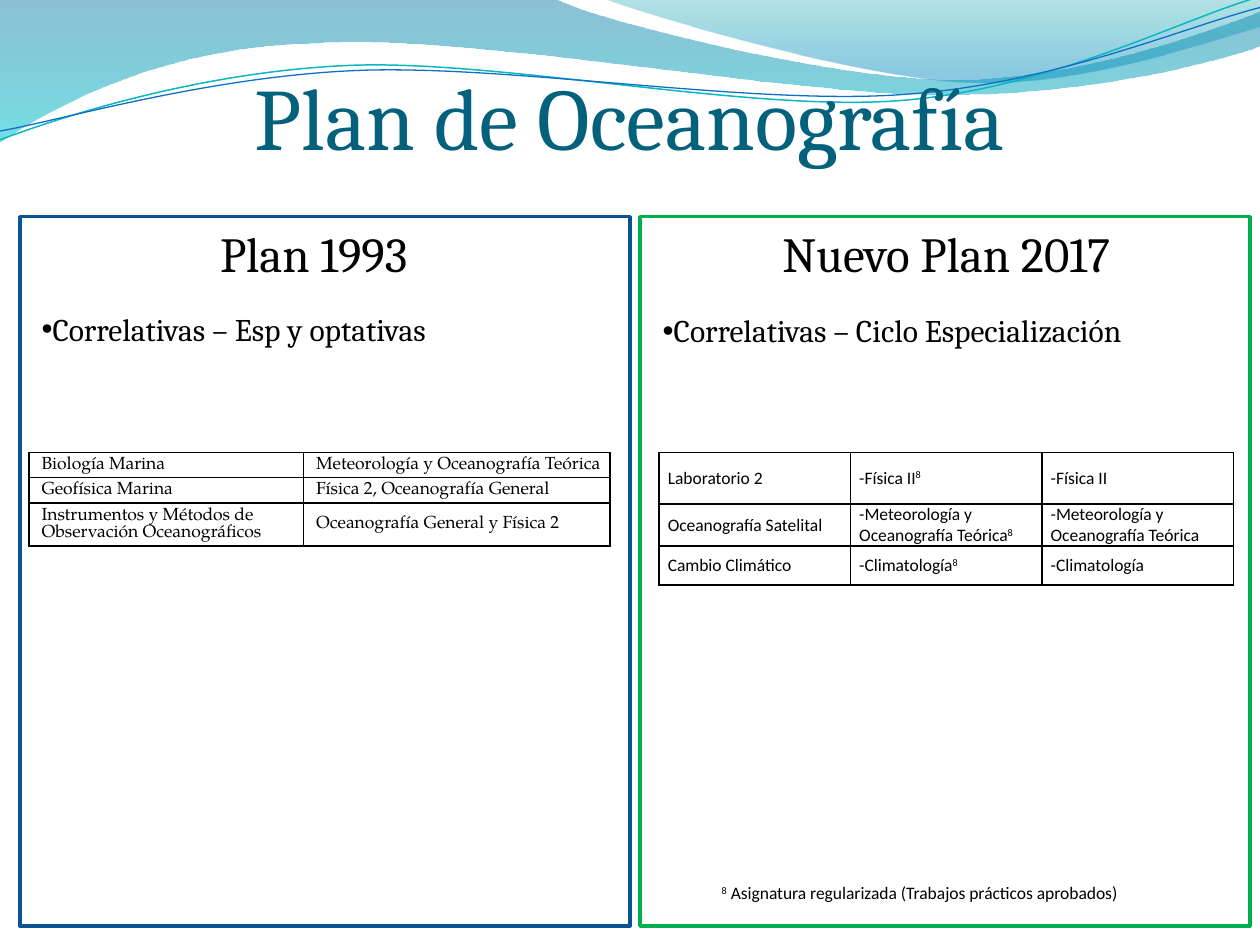
from math import cos, radians, sin

from lxml.etree import SubElement
from pptx import Presentation
from pptx.dml.color import RGBColor
from pptx.enum.shapes import MSO_SHAPE
from pptx.enum.text import MSO_ANCHOR, MSO_AUTO_SIZE as FIT, PP_ALIGN
from pptx.oxml.ns import qn
from pptx.util import Inches, Pt

COLORS = {"text": "000000", "title": "04617B", "old": "0B5292", "new": "00B050",
          "teal": "0AB8BF", "blue": "0F6FC6"}
rgb = RGBColor.from_string

deck = Presentation()
deck.slide_width, deck.slide_height = Inches(10), Inches(7.5)
page = deck.slides.add_slide(deck.slide_layouts[4])
shapes = page.shapes


def write(para, text, size, font, color="text", raised=False):
    span = para.add_run()
    span.text = text
    span.font.size, span.font.name = Pt(size), font
    span.font.bold = False
    span.font.color.rgb = rgb(COLORS[color])
    if raised:
        span.font._element.set("baseline", "30000")


def place(box, left, top, width, height, anchor=MSO_ANCHOR.TOP, fit=FIT.NONE):
    box.left, box.top = Inches(left), Inches(top)
    box.width, box.height = Inches(width), Inches(height)
    frame = box.text_frame
    frame.word_wrap, frame.auto_size = True, fit
    frame.vertical_anchor = anchor
    return frame.paragraphs[0]


# Waves: start point, then cubic curves (6 numbers) or straight lines (2 numbers)
waves = [
    {"start": (0, 0),
     "steps": [(4.4, -0.01), (4.76, 0.17, 6.64, 0.63, 7.58, 0.63),
               (8.53, 0.63, 9.58, 0.26, 10, 0.09), (10.01, 0.36),
               (9.83, 0.44, 8.7, 0.76, 7.46, 0.75), (6.22, 0.75, 3.82, 0.28, 2.57, 0.34),
               (1.29, 0.36, 0.46, 0.83, -0.01, 1.13)],
     "stops": [(0, "0074A1", 45), (1, "00C6CF", 55)]},
    {"start": (4.79, -0.01),
     "steps": [(5.09, 0.11, 6.82, 0.62, 7.69, 0.65), (8.56, 0.69, 9.61, 0.32, 10, 0.21),
               (10, 0)],
     "stops": [(0, "00A1A9", 30), (0.8, "008BBF", 45)]},
    {"start": (0, 1.11),
     "steps": [(0.48, 0.93, 1.58, 0.57, 2.77, 0.52), (3.95, 0.47, 5.93, 0.89, 7.13, 0.8),
               (8.33, 0.71, 9.38, 0.15, 9.98, -0.02)],
     "line": ("teal", 0.85)},
    {"start": (0, 1.04),
     "steps": [(0.47, 0.96, 1.64, 0.61, 2.83, 0.56), (4.03, 0.51, 5.97, 0.84, 7.17, 0.75),
               (8.36, 0.67, 9.41, 0.21, 10, 0.06)],
     "line": ("blue", 0.75)},
]
for depth, wave in enumerate(waves):
    steps = wave["steps"]
    points = [wave["start"]]
    for step in steps:
        points += zip(step[::2], step[1::2])
    points = [(Inches(x), Inches(y)) for x, y in points]
    builder = shapes.build_freeform(*points[0])
    builder.add_line_segments(points[1:], close="stops" in wave)
    curve = builder.convert_to_shape()
    # Join each three points of a curve into one cubic segment
    lines = iter(list(curve.element.iter(qn("a:lnTo"))))
    for step in steps:
        first = next(lines)
        if len(step) == 6:
            first.tag = qn("a:cubicBezTo")
            for line in (next(lines), next(lines)):
                first.append(line[0])
                line.getparent().remove(line)
    curve.shadow.inherit = False
    if "stops" in wave:
        curve.line.fill.background()
        curve.fill.gradient()
        curve.fill.gradient_angle = 270
        for stop, (position, color, alpha) in zip(curve.fill.gradient_stops, wave["stops"]):
            stop.position, stop.color.rgb = position, rgb(color)
            tint = stop._gs.find(qn("a:srgbClr"))
            SubElement(tint, qn("a:alpha")).set("val", str(alpha * 1000))
    else:
        color, width = wave["line"]
        curve.fill.background()
        curve.line.color.rgb, curve.line.width = rgb(COLORS[color]), Pt(width)
    curve.element.getparent().insert(2 + depth, curve.element)  # behind the text

# Title
title = place(shapes.title, 0, 0, 10, 1.33, MSO_ANCHOR.BOTTOM)
title_frame = shapes.title.text_frame
title_frame.margin_left = title_frame.margin_right = title_frame.margin_bottom = 0
title.alignment = PP_ALIGN.CENTER
write(title, "Plan de Oceanografía", 50, "Cambria", "title")

# Two panels: frame, heading and bullet
holders = {holder.placeholder_format.idx: holder for holder in page.placeholders}
panels = [("Plan 1993", "Correlativas – Esp y optativas", "old", 0.16, 0, 0.62, 0.23, 2.41),
          ("Nuevo Plan 2017", "Correlativas – Ciclo Especialización", "new",
           5.08, 5.02, 1.25, 5.16, 2.42)]
for number, panel in enumerate(panels):
    heading, topic, color, left, head_left, head_height, topic_left, topic_top = panel
    frame = shapes.add_shape(MSO_SHAPE.RECTANGLE, Inches(left), Inches(1.72),
                             Inches(4.84), Inches(5.63))
    frame.shadow.inherit = False
    frame.fill.background()
    frame.line.color.rgb, frame.line.width = rgb(COLORS[color]), Pt(2)

    para = place(holders[1 + 2 * number], head_left, 1.72, 4.98, head_height)
    para.alignment = PP_ALIGN.CENTER
    para.space_before = Pt(5)
    write(para, heading, 28, "Cambria")

    para = place(holders[2 + 2 * number], topic_left, topic_top, 4.77, 0.4,
                 fit=FIT.SHAPE_TO_FIT_TEXT)
    para.space_before = para.space_after = Pt(6)
    props = para._p.get_or_add_pPr()
    props.set("marL", "0")
    props.set("indent", "0")
    SubElement(props, qn("a:buChar")).set("char", "•")
    write(para, topic, 18, "Cambria")

# Tables; "^" marks a raised note number
tables = [
    {"left": 5.23, "cols": [1.52] * 3, "rows": [0.41, 0.33, 0.31], "font": "Calibri",
     "insets": (0.07, 0, 0.07, 0),
     "cells": [["Laboratorio 2", "-Física II^8", "-Física II"],
               ["Oceanografía Satelital", "-Meteorología y Oceanografía Teórica^8",
                "-Meteorología y Oceanografía Teórica"],
               ["Cambio Climático", "-Climatología^8", "-Climatología"]]},
    {"left": 0.23, "cols": [2.18, 2.43], "rows": [0.2, 0.2, 0.34], "font": "TeX Gyre Pagella",
     "insets": (0.1, 0.01, 0.01, 0),
     "cells": [["Biología Marina", "Meteorología y Oceanografía Teórica"],
               ["Geofísica Marina", "Física 2, Oceanografía General"],
               ["Instrumentos y Métodos de Observación Oceanográficos",
                "Oceanografía General y Física 2"]]},
]
for plan in tables:
    cols, rows = plan["cols"], plan["rows"]
    table = shapes.add_table(len(rows), len(cols), Inches(plan["left"]), Inches(3.59),
                             Inches(sum(cols)), Inches(sum(rows))).table
    table.first_row = table.horz_banding = False
    for column, width in zip(table.columns, cols):
        column.width = Inches(width)
    for row, height, texts in zip(table.rows, rows, plan["cells"]):
        row.height = Inches(height)
        for cell, text in zip(row.cells, texts):
            (cell.margin_left, cell.margin_top,
             cell.margin_right, cell.margin_bottom) = map(Inches, plan["insets"])
            cell.vertical_anchor = MSO_ANCHOR.MIDDLE
            para = cell.text_frame.paragraphs[0]
            body, mark, note = text.partition("^")
            write(para, body, 10, plan["font"])
            if mark:
                write(para, note, 10, plan["font"], raised=True)
            props = cell._tc.get_or_add_tcPr()
            for side in ("lnL", "lnR", "lnT", "lnB"):
                border = SubElement(props, qn("a:" + side), w=str(Pt(1)))
                paint = SubElement(border, qn("a:solidFill"))
                SubElement(paint, qn("a:srgbClr"), val=COLORS["text"])
            cell.fill.background()

# Footnote
note = place(shapes.add_textbox(0, 0, 0, 0), 5.63, 6.95, 3.36, 0.27, MSO_ANCHOR.MIDDLE,
             FIT.SHAPE_TO_FIT_TEXT)
note.alignment = PP_ALIGN.JUSTIFY
write(note, "8", 10, "Calibri", raised=True)
write(note, " Asignatura regularizada (Trabajos prácticos aprobados)", 10, "Calibri")

deck.save("out.pptx")
